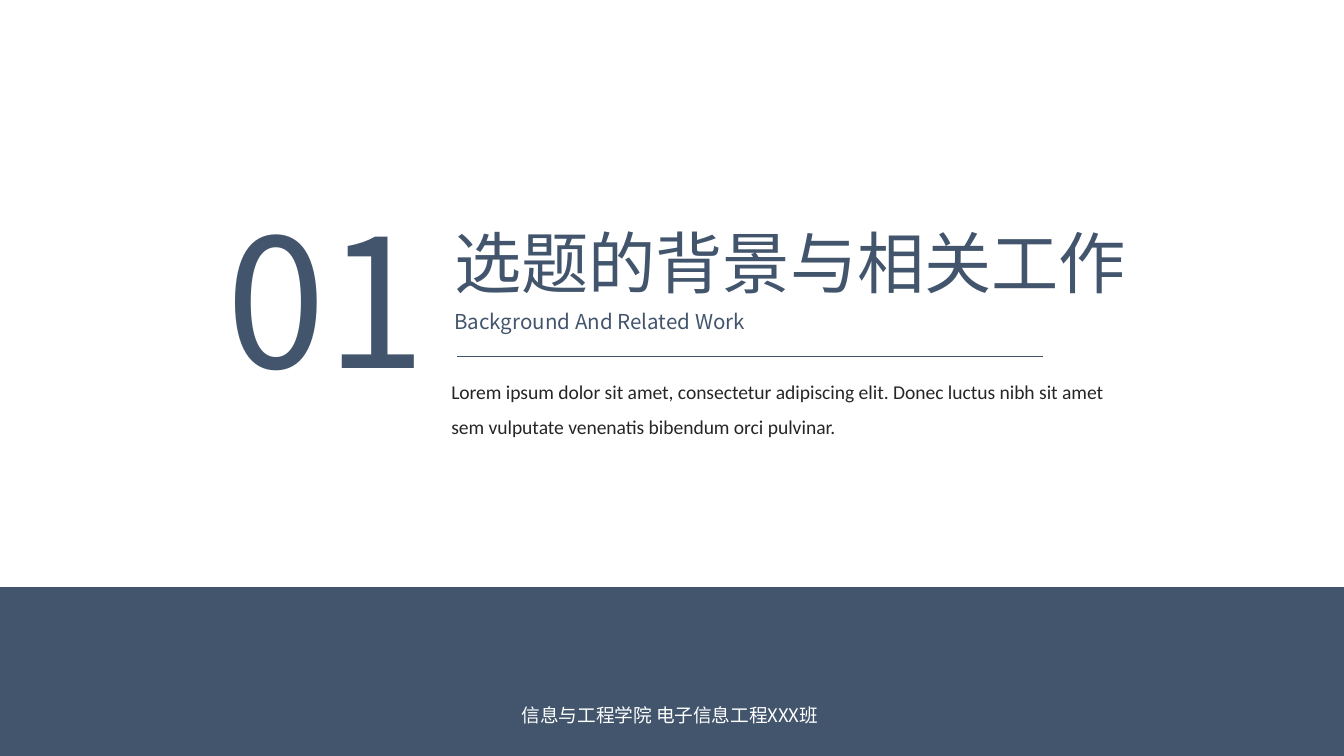
from lxml.etree import SubElement
from pptx import Presentation
from pptx.dml.color import RGBColor as Rgb
from pptx.enum.shapes import MSO_CONNECTOR as Link, MSO_SHAPE as Kind
from pptx.enum.text import PP_ALIGN as Align
from pptx.oxml.ns import qn
from pptx.util import Pt

INK = {"navy": "42556C", "body": "262626", "white": "FFFFFF"}
SANS = "Noto Sans CJK SC"


def color(name):
    """Return the named colour."""
    return Rgb.from_string(INK[name])


def write(slide, text, box, size, ink="navy", font=SANS, align=Align.LEFT,
          wrap=False, space=None):
    """Place one formatted paragraph in a box of points."""
    frame = slide.shapes.add_textbox(*map(Pt, box)).text_frame
    frame.word_wrap = wrap
    para = frame.paragraphs[0]
    para.alignment = align
    if space:
        para.line_spacing = space
    run = para.add_run()
    run.text = text
    run.font.size = Pt(size)
    run.font.color.rgb = color(ink)
    run.font.name = font
    SubElement(run.font._element, qn("a:ea"), typeface=font)


def rule(slide, left, top, width):
    """Draw a thin level line."""
    line = slide.shapes.add_connector(
        Link.STRAIGHT, Pt(left), Pt(top), Pt(left + width), Pt(top))
    line.line.color.rgb = color("navy")
    line.line.width = Pt(0.5)
    SubElement(line._element.spPr, qn("a:effectLst"))


def heading(slide, box):
    """Place the section number, titles, rule and summary."""
    left, top, width, height = box
    side = left + 122.4
    write(slide, "01", (left, top, 121.7, height), 96, align=Align.CENTER)
    write(slide, "选题的背景与相关工作", (side, top + 17.3, 374.4, 51.1), 36)
    write(slide, "Background And Related Work",
          (side, top + 64.1, 178.6, 20.2), 11)
    rule(slide, side + 8.6, top + 92.9, 313.9)
    write(slide, "Lorem ipsum dolor sit amet, consectetur adipiscing elit. "
          "Donec luctus nibh sit amet sem vulputate venenatis bibendum "
          "orci pulvinar.",
          (side - 1.5, top + 95.8, width - 120.9, 43.2), 10.5,
          ink="body", font="Calibri", wrap=True, space=1.5)


def footer(slide, box):
    """Place the bottom band and its class name."""
    left, top, width, height = box
    band = slide.shapes.add_shape(Kind.RECTANGLE, *map(Pt, box))
    band.shadow.inherit = False
    band.fill.solid()
    band.fill.fore_color.rgb = color("navy")
    band.line.fill.background()
    write(slide, "信息与工程学院 电子信息工程XXX班",
          (left + 270.7, top + 59.1, 176.4, 19.4), 10,
          ink="white", align=Align.CENTER, wrap=True)


def main():
    """Build and save the section slide."""
    deck = Presentation()
    deck.slide_width, deck.slide_height = Pt(720), Pt(405)
    slide = deck.slides.add_slide(deck.slide_layouts[6])
    footer(slide, (0, 314.6, 720, 90.4))
    heading(slide, (113.8, 97.9, 492.4, 123.8))
    deck.save("out.pptx")


if __name__ == "__main__":
    main()
